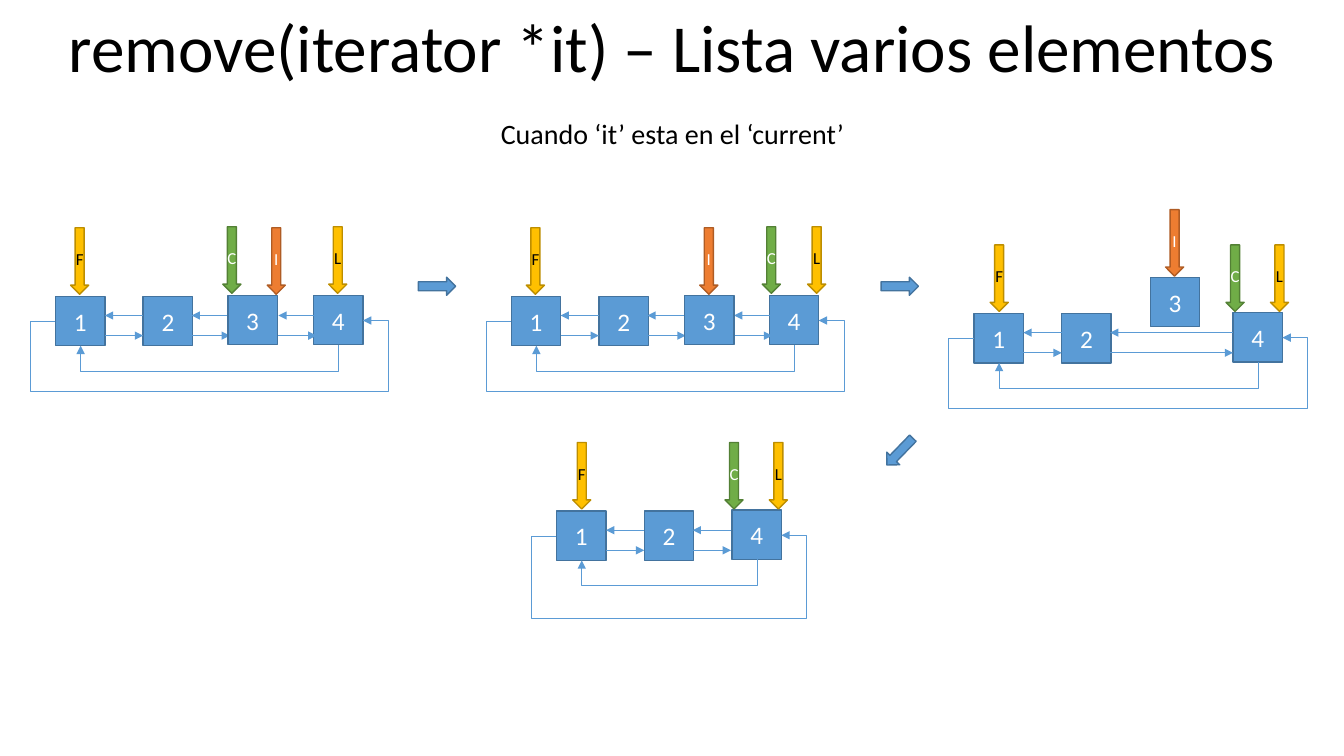
from dataclasses import dataclass
from typing import Any

from lxml import etree
from pptx import Presentation
from pptx import util as u
from pptx.dml.color import RGBColor
from pptx.enum import shapes, text
from pptx.oxml.ns import qn

PX = 9144  # EMU in one px, 100 px to the inch
SIDE = 49  # side of a node
PITCH = 86  # distance between the links of a list
KIND = shapes.MSO_SHAPE


@dataclass(frozen=True)
class Theme:
    font: str = "Calibri"
    black: str = "000000"
    white: str = "FFFFFF"
    blue: str = "5B9BD5"
    navy: str = "43739E"
    title: int = 48
    note: int = 20
    node: int = 18
    tag: int = 12


@dataclass(frozen=True)
class Look:
    fill: str
    edge: str
    ink: str


@dataclass(frozen=True)
class Node:
    label: str
    x: int
    y: int = 0


@dataclass(frozen=True)
class Mark:
    """Pointer above a node: its letter and place within the list."""
    label: str
    x: int
    y: int = -68


@dataclass(frozen=True)
class Chain:
    """One state of the list, placed by the corner of node 1."""
    x: int
    y: int
    nodes: tuple[Node, ...]
    marks: tuple[Mark, ...]
    links: tuple[int, ...]
    third: Node | None = None
    depth: int = 94


@dataclass(frozen=True)
class Step:
    x: int
    y: int
    turn: float = 0


THEME = Theme()
BLUE = Look(THEME.blue, THEME.navy, THEME.white)
GOLD = Look("FFC000", "BD8E00", THEME.black)
LOOKS = {
    "F": GOLD,
    "L": GOLD,
    "C": Look("70AD47", "538035", THEME.white),
    "I": Look("ED7D31", "AF5C24", THEME.white),
}

ONE, TWO = Node("1", 0), Node("2", 87)
FOUR = Node("4", 256, -1)
CHAINS = (
    Chain(55, 294, (ONE, TWO, FOUR),
          (Mark("F", 15), Mark("C", 166, -69), Mark("I", 210), Mark("L", 271, -69)),
          (38, 38, 38), Node("3", 171, -1)),
    Chain(507, 294, (ONE, TWO, FOUR),
          (Mark("F", 15), Mark("I", 187), Mark("C", 249, -69), Mark("L", 294, -69)),
          (38, 38, 38), Node("3", 172, -1)),
    Chain(966, 311, (ONE, TWO, Node("4", 257, -1)),
          (Mark("F", 16), Mark("I", 190, -103), Mark("C", 250), Mark("L", 294)),
          (38, 122), Node("3", 175, -36)),
    Chain(552, 507, (ONE, TWO, Node("4", 174, -1)),
          (Mark("F", 16), Mark("C", 167), Mark("L", 211)),
          (38, 38), depth=106),
)
STEPS = (Step(415, 275), Step(874, 275), Step(874, 439, 134.1))


def px(*sizes: int) -> list[u.Emu]:
    return [u.Emu(size * PX) for size in sizes]


def write(frame: Any, words: str, *, size: int, ink: str = THEME.black,
          wrap: bool = True) -> None:
    frame.word_wrap = wrap
    line = frame.paragraphs[0]
    line.alignment = text.PP_ALIGN.CENTER
    run = line.add_run()
    run.text = words
    run.font.name = THEME.font
    run.font.size = u.Pt(size)
    run.font.color.rgb = RGBColor.from_string(ink)


def head(area: Any, words: str, top: int, high: int, size: int) -> None:
    box = area.add_textbox(*px(1, top, 1332, high))
    write(box.text_frame, words, size=size)


def block(area: Any, kind: Any, place: tuple[int, int, int, int], look: Look,
          label: str = "", size: int = THEME.node) -> Any:
    """Draw a filled preset shape, with a centred label if one is given."""
    shape = area.add_shape(kind, *px(*place))
    shape.shadow.inherit = False
    shape.fill.solid()
    shape.fill.fore_color.rgb = RGBColor.from_string(look.fill)
    shape.line.color.rgb = RGBColor.from_string(look.edge)
    shape.line.width = u.Pt(1)
    if label:
        frame = shape.text_frame
        frame.margin_left = frame.margin_right = 0
        frame.margin_top = frame.margin_bottom = 0
        frame.vertical_anchor = text.MSO_ANCHOR.MIDDLE
        write(frame, label, size=size, ink=look.ink, wrap=False)
    return shape


def point(shape: Any) -> None:
    """Give a line its thin blue stroke and an arrowhead at the end."""
    shape.line.color.rgb = RGBColor.from_string(THEME.blue)
    shape.line.width = u.Pt(0.5)
    stroke = shape.line._get_or_add_ln()
    etree.SubElement(stroke, qn("a:tailEnd"), type="triangle")


def link(area: Any, start: int, end: int, y: int) -> None:
    line = area.add_connector(shapes.MSO_CONNECTOR.STRAIGHT, *px(start, y, end, y))
    point(line)
    etree.SubElement(line._element.spPr, qn("a:effectLst"))


def loop(area: Any, dots: list[tuple[int, int]]) -> None:
    """Draw an open path with right-angled bends."""
    path = area.build_freeform(*dots[0], scale=PX)
    path.add_line_segments(dots[1:], close=False)
    shape = path.convert_to_shape()
    shape.fill.background()
    point(shape)
    shape.shadow.inherit = False


def draw(slide: Any, chain: Chain) -> None:
    area = slide.shapes.add_group_shape().shapes
    x, y = chain.x, chain.y

    def box(node: Node) -> None:
        place = (x + node.x, y + node.y, SIDE, SIDE)
        block(area, KIND.RECTANGLE, place, BLUE, node.label)

    for node in chain.nodes:
        box(node)

    last = x + chain.nodes[-1].x
    low, right, deep = y + 74, last + SIDE, y + chain.depth
    loop(area, [(last + 25, y + 48), (last + 25, low), (x + 25, low), (x + 25, y + SIDE)])
    loop(area, [(x, y + 25), (x - 25, y + 25), (x - 25, deep),
                (right + 25, deep), (right + 25, y + 24), (right, y + 24)])

    for i, length in enumerate(chain.links):
        start = x + SIDE + i * PITCH
        link(area, start + length, start, y + 19)
        link(area, start, start + length, y + 39)

    if chain.third:
        box(chain.third)
    for mark in chain.marks:
        place = (x + mark.x, y + mark.y, 18, 66)
        block(area, KIND.DOWN_ARROW, place, LOOKS[mark.label], mark.label, THEME.tag)


def main() -> None:
    deck = Presentation()
    deck.slide_width, deck.slide_height = px(1333, 750)
    slide = deck.slides.add_slide(deck.slide_layouts[6])
    head(slide.shapes, "remove(iterator *it) – Lista varios elementos", 0, 91, THEME.title)
    head(slide.shapes, "Cuando ‘it’ esta en el ‘current’", 111, 44, THEME.note)
    for chain in CHAINS:
        draw(slide, chain)
    for step in STEPS:
        arrow = block(slide.shapes, KIND.RIGHT_ARROW, (step.x, step.y, 37, 18), BLUE)
        arrow.rotation = step.turn
    deck.save("out.pptx")


if __name__ == "__main__":
    main()
